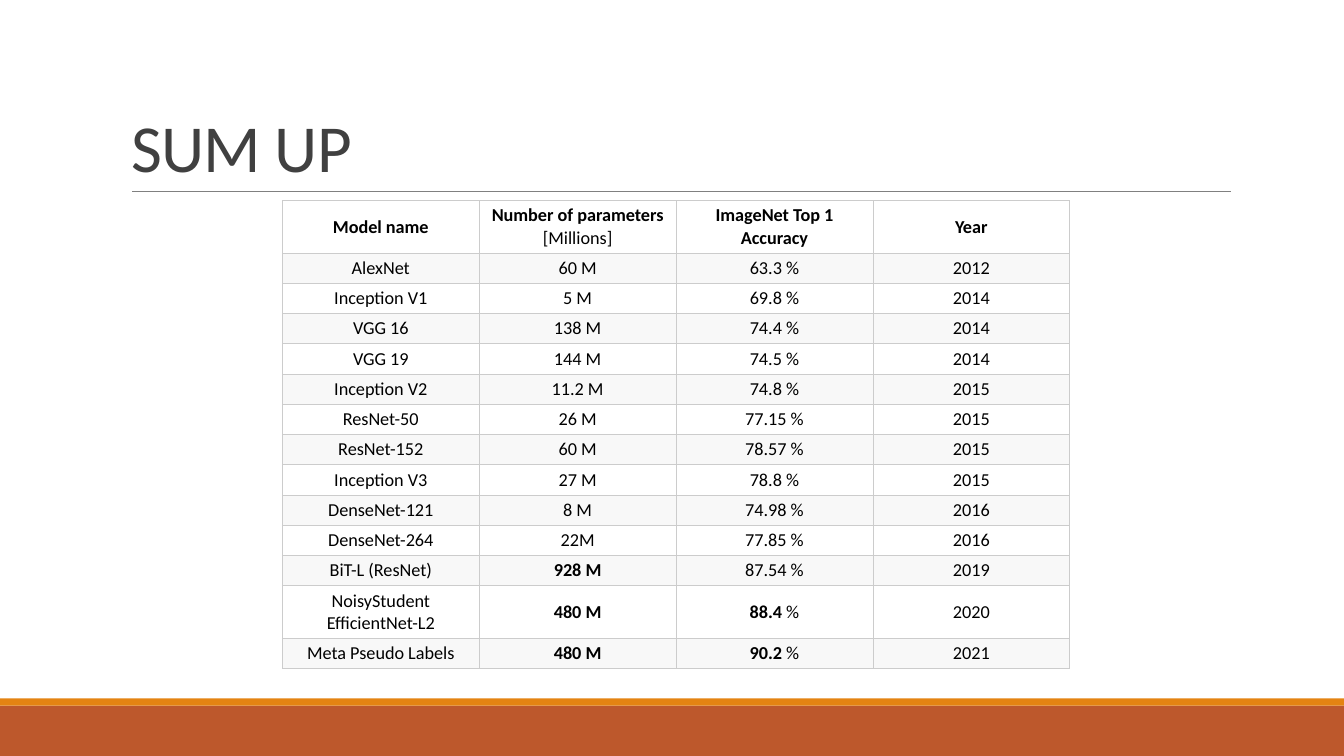
from dataclasses import dataclass

from lxml import etree
from pptx import Presentation
from pptx.dml.color import RGBColor
from pptx.enum import shapes, text
from pptx.oxml import ns
from pptx.util import Inches, Pt

FONT = "Calibri"
TITLE_ONLY = 5


@dataclass(frozen=True)
class Band:
    top: float
    height: float
    color: str


@dataclass(frozen=True)
class Entry:
    """Cell wording: a bold part followed by a plain part."""
    bold: str = ""
    plain: str = ""


@dataclass(frozen=True)
class Model:
    name: str
    parameters: Entry
    accuracy: Entry
    year: str
    height: float = 0.29

    def entries(self) -> list[Entry]:
        return [Entry(plain=self.name), self.parameters, self.accuracy, Entry(plain=self.year)]


BANDS = [Band(7, 0.5, "BD582C"), Band(6.93, 0.07, "E48312")]
HEADINGS = [
    Entry("Model name"),
    Entry("Number of parameters", " [Millions]"),
    Entry("ImageNet Top 1 Accuracy"),
    Entry("Year"),
]
HEADING_HEIGHT = 0.51
MODELS = [
    Model("AlexNet", Entry(plain="60 M"), Entry(plain="63.3 %"), "2012"),
    Model("Inception V1", Entry(plain="5 M"), Entry(plain="69.8 %"), "2014"),
    Model("VGG 16", Entry(plain="138 M"), Entry(plain="74.4 %"), "2014"),
    Model("VGG 19", Entry(plain="144 M"), Entry(plain="74.5 %"), "2014"),
    Model("Inception V2", Entry(plain="11.2 M"), Entry(plain="74.8 %"), "2015"),
    Model("ResNet-50", Entry(plain="26 M"), Entry(plain="77.15 %"), "2015"),
    Model("ResNet-152", Entry(plain="60 M"), Entry(plain="78.57 %"), "2015"),
    Model("Inception V3", Entry(plain="27 M"), Entry(plain="78.8 %"), "2015"),
    Model("DenseNet-121", Entry(plain="8 M"), Entry(plain="74.98 %"), "2016"),
    Model("DenseNet-264", Entry(plain="22M"), Entry(plain="77.85 %"), "2016"),
    Model("BiT-L (ResNet)", Entry("928 M"), Entry(plain="87.54 %"), "2019"),
    Model("NoisyStudent EfficientNet-L2", Entry("480 M"), Entry("88.4", " %"), "2020", 0.51),
    Model("Meta Pseudo Labels", Entry("480 M"), Entry("90.2", " %"), "2021"),
]


def rgb(color: str) -> RGBColor:
    return RGBColor.from_string(color)


def style_run(run, size: float, color: str, bold: bool = False) -> None:
    run.font.name = FONT
    run.font.size = Pt(size)
    run.font.color.rgb = rgb(color)
    run.font.bold = bold


def draw_band(slide, band: Band, width: int) -> None:
    bar = slide.shapes.add_shape(
        shapes.MSO_SHAPE.RECTANGLE, 0, Inches(band.top), width, Inches(band.height))
    bar.shadow.inherit = False
    bar.fill.solid()
    bar.fill.fore_color.rgb = rgb(band.color)
    bar.line.fill.background()


def draw_title_rule(slide) -> None:
    rule = slide.shapes.add_connector(
        shapes.MSO_CONNECTOR.STRAIGHT, Inches(1.31), Inches(1.9), Inches(12.21), Inches(1.9))
    rule.line.color.rgb = rgb("808080")
    rule.line.width = Pt(0.5)
    etree.SubElement(rule._element.spPr, ns.qn("a:effectLst"))


def draw_title(slide) -> None:
    title = slide.shapes.title
    title.left, title.top = Inches(1.2), Inches(0.31)
    title.width, title.height = Inches(11), Inches(1.59)
    frame = title.text_frame
    frame.text = "SUM UP"
    frame.auto_size = text.MSO_AUTO_SIZE.NONE
    frame.vertical_anchor = text.MSO_ANCHOR.BOTTOM
    paragraph = frame.paragraphs[0]
    paragraph.alignment = text.PP_ALIGN.LEFT
    paragraph.line_spacing = 0.85
    run = paragraph.runs[0]
    style_run(run, 48, "404040")
    run.font._element.set("spc", "-50")


def add_borders(cell, color: str, width: float) -> None:
    properties = cell._tc.get_or_add_tcPr()
    for side in ("lnL", "lnR", "lnT", "lnB"):
        border = etree.SubElement(properties, ns.qn(f"a:{side}"), w=str(Pt(width)))
        fill = etree.SubElement(border, ns.qn("a:solidFill"))
        etree.SubElement(fill, ns.qn("a:srgbClr"), val=color)


def fill_cell(cell, entry: Entry, background: str) -> None:
    add_borders(cell, "CCCCCC", 0.6)
    cell.fill.solid()
    cell.fill.fore_color.rgb = rgb(background)
    cell.vertical_anchor = text.MSO_ANCHOR.MIDDLE
    cell.margin_left = cell.margin_right = Inches(0.08)
    cell.margin_top = cell.margin_bottom = Inches(0.04)
    paragraph = cell.text_frame.paragraphs[0]
    paragraph.alignment = text.PP_ALIGN.CENTER
    for wording, bold in ((entry.bold, True), (entry.plain, False)):
        if wording:
            run = paragraph.add_run()
            run.text = wording
            style_run(run, 13, "000000", bold)


def draw_model_table(slide) -> None:
    rows = [HEADINGS] + [model.entries() for model in MODELS]
    heights = [HEADING_HEIGHT] + [model.height for model in MODELS]
    table = slide.shapes.add_table(
        len(rows), len(HEADINGS), Inches(2.8), Inches(1.99),
        Inches(7.81), Inches(sum(heights))).table
    for index, (entries, height) in enumerate(zip(rows, heights)):
        table.rows[index].height = Inches(height)
        background = "F8F8F8" if index % 2 else "FFFFFF"
        for column, entry in enumerate(entries):
            fill_cell(table.cell(index, column), entry, background)


def main() -> None:
    deck = Presentation()
    deck.slide_width, deck.slide_height = Inches(13.33), Inches(7.5)
    slide = deck.slides.add_slide(deck.slide_layouts[TITLE_ONLY])
    for band in BANDS:
        draw_band(slide, band, deck.slide_width)
    draw_title_rule(slide)
    draw_title(slide)
    draw_model_table(slide)
    deck.save("out.pptx")


if __name__ == "__main__":
    main()
